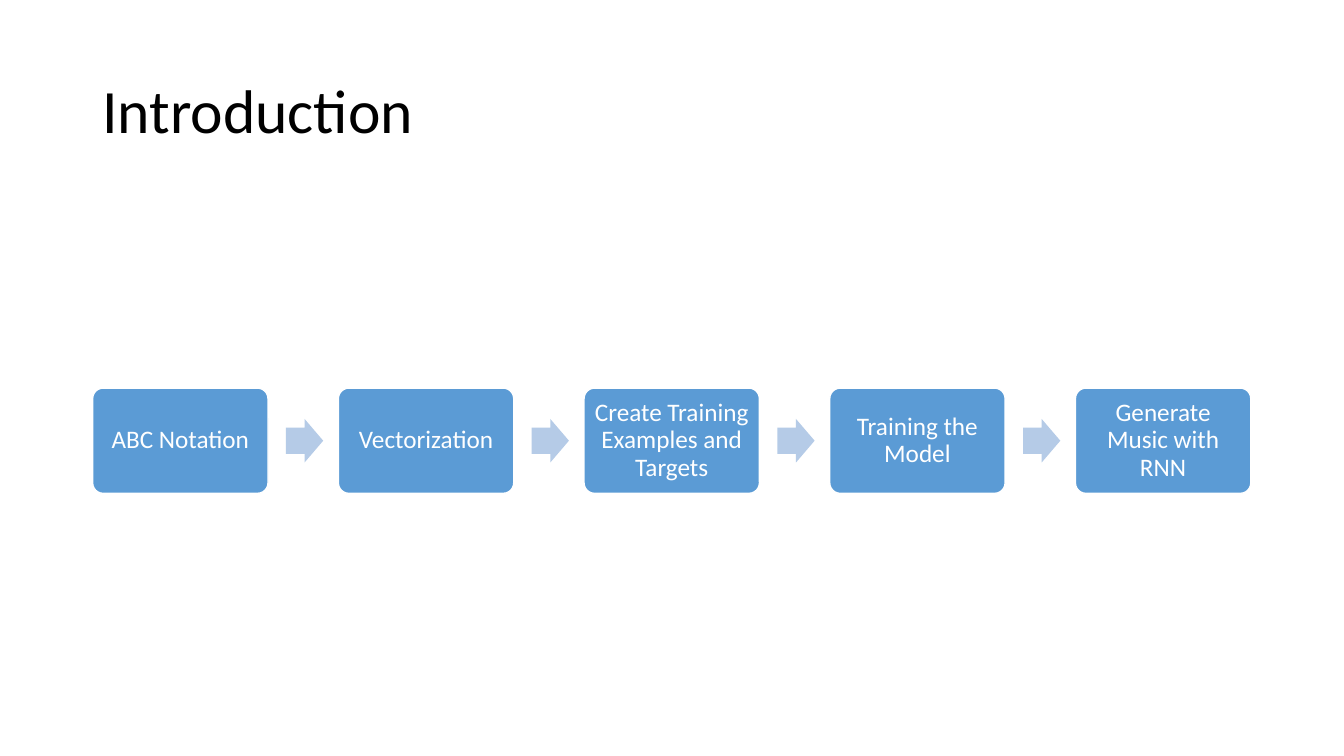
from pptx import Presentation
from pptx.dml.color import RGBColor
from pptx.enum.shapes import MSO_SHAPE as SHAPE
from pptx.enum.text import MSO_ANCHOR as ANCHOR, PP_ALIGN as ALIGN
from pptx.util import Pt

FONT = "Calibri"
STEPS = [
    "ABC Notation",
    "Vectorization",
    "Create Training Examples and Targets",
    "Training the Model",
    "Generate Music with RNN",
]
LEFT, PITCH, MIDDLE = 66.2, 175.5, 314.8
BOX_W, BOX_H = 125.3, 75.2
ARROW_W, ARROW_H, ARROW_GAP = 26.6, 31.1, 12.8


def rgb(value):
    """Turn a hex string into a colour."""
    return RGBColor.from_string(value)


def write(sp, text, size=18, color="FFFFFF", align=ALIGN.CENTER, inset=None):
    """Put one formatted, vertically centred paragraph into a shape."""
    tf = sp.text_frame
    tf.word_wrap = True
    tf.vertical_anchor = ANCHOR.MIDDLE
    if inset is not None:
        tf.margin_left = tf.margin_right = Pt(inset)
        tf.margin_top = tf.margin_bottom = Pt(inset)
    p = tf.paragraphs[0]
    p.alignment = align
    p.line_spacing = 0.9
    r = p.add_run()
    r.text = text
    r.font.name = FONT
    r.font.size = Pt(size)
    r.font.color.rgb = rgb(color)


def add_title(s, text):
    """Add the slide title."""
    sp = s.shapes.add_textbox(Pt(66), Pt(28.8), Pt(828), Pt(104.4))
    write(sp, text, size=44, color="000000", align=ALIGN.LEFT)


def add_preset(s, kind, x, w, h, fill, adjustments, line=None):
    """Add a flat preset shape centred on the row of steps."""
    sp = s.shapes.add_shape(kind, Pt(x), Pt(MIDDLE - h / 2), Pt(w), Pt(h))
    sp.shadow.inherit = False
    for i, value in enumerate(adjustments):
        sp.adjustments[i] = value
    sp.fill.solid()
    sp.fill.fore_color.rgb = rgb(fill)
    if line:
        sp.line.color.rgb = rgb(line)
        sp.line.width = Pt(1)
    else:
        sp.line.fill.background()
    return sp


def add_step(s, x, text):
    """Add one labelled step of the process."""
    sp = add_preset(s, SHAPE.ROUNDED_RECTANGLE, x, BOX_W, BOX_H, "5B9BD5", [0.1], "FFFFFF")
    write(sp, text, inset=4.8)


def add_arrow(s, x):
    """Add the arrow that leads to the next step."""
    add_preset(s, SHAPE.RIGHT_ARROW, x, ARROW_W, ARROW_H, "B5CBE7", [0.6, 0.5])


def main():
    """Build the slide and save it."""
    prs = Presentation()
    prs.slide_width, prs.slide_height = Pt(960), Pt(540)
    s = prs.slides.add_slide(prs.slide_layouts[6])
    add_title(s, "Introduction")
    for i, text in enumerate(STEPS):
        x = LEFT + i * PITCH
        if i:
            add_arrow(s, x - PITCH + BOX_W + ARROW_GAP)
        add_step(s, x, text)
    prs.save("out.pptx")


main()
